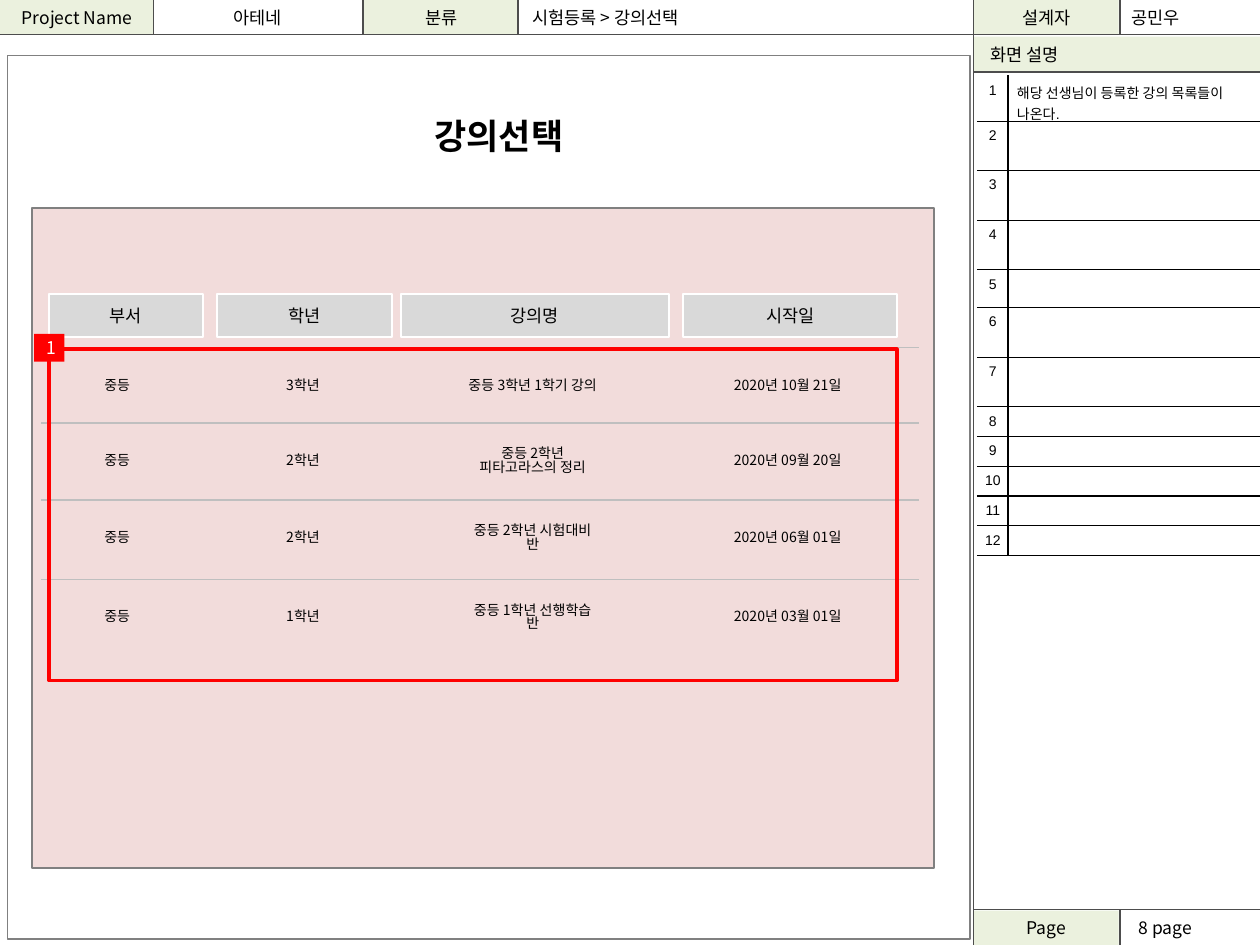
from dataclasses import dataclass

from lxml import etree
from pptx import Presentation
from pptx.dml.color import RGBColor
from pptx.enum.shapes import MSO_CONNECTOR, MSO_SHAPE
from pptx.enum.text import MSO_ANCHOR, PP_ALIGN
from pptx.oxml.ns import qn
from pptx.util import Cm, Pt

RECTANGLE = MSO_SHAPE.RECTANGLE
STRAIGHT = MSO_CONNECTOR.STRAIGHT
MIDDLE, TOP = MSO_ANCHOR.MIDDLE, MSO_ANCHOR.TOP
LEFT, CENTER = PP_ALIGN.LEFT, PP_ALIGN.CENTER


@dataclass(frozen=True)
class Theme:
    """Colours, fonts and type sizes of the screen specification."""
    korean: str = "Noto Sans CJK KR"
    latin: str = "Arial"
    black: str = "000000"
    white: str = "FFFFFF"
    label: str = "EBF1DE"
    rule: str = "4D4D4D"
    frame: str = "808080"
    panel: str = "F2DCDB"
    header: str = "D9D9D9"
    divider: str = "BFBFBF"
    marker: str = "FF0000"
    small: int = 8
    body: int = 10
    title: int = 20


class SlideBuilder:
    """Draws styled elements on the current slide; lengths are in centimetres."""

    def __init__(self, slide, theme):
        """Keep the slide and its theme."""
        self.slide = slide
        self.theme = theme

    def style(self, paragraph, text, size, color, align, bold=False, font=None):
        """Write text into a paragraph and set its font."""
        paragraph.text = text
        paragraph.alignment = align
        paragraph.font.name = font or self.theme.korean
        paragraph.font.size = Pt(size)
        paragraph.font.bold = bold
        paragraph.font.color.rgb = RGBColor.from_string(color)
        properties = paragraph.font._element
        etree.SubElement(properties, qn("a:ea"), typeface=self.theme.korean)

    def box(self, x, y, width, height, fill=None, line=None, weight=1,
            text=None, color=None, align=CENTER, inset=0.25):
        """Draw a rectangle, optionally filled, outlined and labelled."""
        shape = self.slide.shapes.add_shape(RECTANGLE, Cm(x), Cm(y), Cm(width), Cm(height))
        shape.shadow.inherit = False
        if fill:
            shape.fill.solid()
            shape.fill.fore_color.rgb = RGBColor.from_string(fill)
        else:
            shape.fill.background()
        if line:
            shape.line.color.rgb = RGBColor.from_string(line)
            shape.line.width = Pt(weight)
        else:
            shape.line.fill.background()
        if text:
            frame = shape.text_frame
            frame.vertical_anchor = MIDDLE
            frame.margin_left = Cm(inset)
            self.style(frame.paragraphs[0], text, self.theme.body,
                       color or self.theme.black, align)

    def text(self, x, y, width, height, text, size, align=LEFT, bold=False, spacing=None):
        """Place vertically centred text."""
        frame = self.slide.shapes.add_textbox(Cm(x), Cm(y), Cm(width), Cm(height)).text_frame
        frame.word_wrap = True
        frame.vertical_anchor = MIDDLE
        paragraph = frame.paragraphs[0]
        self.style(paragraph, text, size, self.theme.black, align, bold)
        if spacing:
            paragraph.line_spacing = spacing

    def line(self, x1, y1, x2, y2, color):
        """Draw a thin straight line."""
        connector = self.slide.shapes.add_connector(STRAIGHT, Cm(x1), Cm(y1), Cm(x2), Cm(y2))
        connector.line.color.rgb = RGBColor.from_string(color)
        connector.line.width = Pt(0.75)
        etree.SubElement(connector._element.spPr, qn("a:effectLst"))

    def borders(self, cell, sides):
        """Give a cell black borders; sides come in the order L, R, T, B."""
        properties = cell._tc.get_or_add_tcPr()
        for index, side in enumerate(sides):
            border = etree.Element(qn(f"a:ln{side}"), w=str(Pt(0.75)))
            fill = etree.SubElement(border, qn("a:solidFill"))
            etree.SubElement(fill, qn("a:srgbClr"), val=self.theme.black)
            properties.insert(index, border)

    def table(self, x, y, widths, heights, descriptions):
        """Draw the numbered table of screen descriptions."""
        table = self.slide.shapes.add_table(
            len(heights), len(widths), Cm(x), Cm(y), Cm(sum(widths)), Cm(sum(heights))).table
        table.first_row = table.horz_banding = False
        for column, width in zip(table.columns, widths):
            column.width = Cm(width)
        for number, height in enumerate(heights, 1):
            table.rows[number - 1].height = Cm(height)
            above = "T" if number > 1 else ""
            contents = ((str(number), CENTER, 0.1, "R"),
                        (descriptions.get(number, ""), LEFT, 0.18, "L"))
            for column, (text, align, inset, side) in enumerate(contents):
                cell = table.cell(number - 1, column)
                cell.fill.background()
                cell.vertical_anchor = TOP
                cell.margin_left = cell.margin_right = Cm(inset)
                cell.margin_top, cell.margin_bottom = Cm(0.13), Cm(0)
                self.style(cell.text_frame.paragraphs[0], text, self.theme.small,
                           self.theme.black, align, font=self.theme.latin)
                self.borders(cell, side + above + "B")


def draw_page_frame(builder):
    """Draw the label bar, the side column and the page footer."""
    theme = builder.theme
    labels = ((19.63, 18.36, 2.92, "Page"), (19.63, 0, 2.92, "설계자"),
              (7.34, 0, 3.12, "분류"), (0, 0, 3.1, "Project Name"))
    for x, y, width, text in labels:
        builder.box(x, y, width, 0.69, theme.label, text=text)
    builder.box(19.63, 0.74, 5.77, 0.72, theme.label, text="화면 설명", align=LEFT, inset=0.34)
    for x in (3.1, 7.32, 10.44, 22.58):
        builder.line(x, 0, x, 0.69, theme.rule)
    builder.line(22.58, 18.34, 22.58, 19.05, theme.rule)
    builder.line(19.63, 0, 19.63, 19.05, theme.rule)
    for x, y in ((0, 0.69), (19.63, 1.45), (19.63, 18.34)):
        builder.line(x, y, 25.4, y, theme.rule)
    builder.text(3.1, 0, 4.19, 0.69, "아테네", theme.body, CENTER)
    values = ((10.49, 0, 8.76, "시험등록 > 강의선택"),
              (22.56, 0, 2.59, "공민우"), (22.71, 18.36, 2.59, "8 page"))
    for x, y, width, text in values:
        builder.text(x, y, width, 0.69, text, theme.body)


def draw_course_list(builder):
    """Draw the course selection screen with its list."""
    theme = builder.theme
    builder.box(0.15, 1.12, 19.41, 17.81, theme.white, theme.frame)
    builder.box(0.64, 4.19, 18.19, 13.31, theme.panel, theme.frame)
    builder.text(8.51, 2.18, 3.51, 1.12, "강의선택", theme.title, bold=True)
    headers = (("부서", 0.99, 3.1), ("학년", 4.37, 3.53),
               ("강의명", 8.08, 5.41), ("시작일", 13.77, 4.32))
    for text, x, width in headers:
        builder.box(x, 5.93, width, 0.86, theme.header, theme.white, text=text)
    columns = ((1.17, 2.39), (5.13, 1.96), (9.19, 3.1), (14.05, 3.66))
    courses = (
        (7.01, "3학년", "중등 3학년 1학기 강의", "2020년 10월 21일"),
        (8.53, "2학년", "중등 2학년 피타고라스의 정리", "2020년 09월 20일"),
        (10.08, "2학년", "중등 2학년 시험대비 반", "2020년 06월 01일"),
        (11.68, "1학년", "중등 1학년 선행학습 반", "2020년 03월 01일"),
    )
    for y, *details in courses:
        builder.line(0.83, y, 18.53, y, theme.divider)
        for (x, width), text in zip(columns, ("중등", *details)):
            builder.text(x, y + 0.18, width, 1.19, text, theme.small, CENTER, spacing=0.8)
    builder.box(0.99, 7.04, 17.09, 6.68, line=theme.marker, weight=2)
    builder.box(0.69, 6.73, 0.61, 0.56, theme.marker, text="1", color=theme.white)


def main():
    """Build and save the presentation."""
    presentation = Presentation()
    presentation.slide_width, presentation.slide_height = Cm(25.4), Cm(19.05)
    slide = presentation.slides.add_slide(presentation.slide_layouts[6])
    builder = SlideBuilder(slide, Theme())
    draw_page_frame(builder)
    draw_course_list(builder)
    heights = [0.92, 0.99, 1, 1, 0.76, 1, 1] + [0.6] * 5
    builder.table(19.71, 1.53, (0.61, 5.08), heights,
                  {1: "해당 선생님이 등록한 강의 목록들이 나온다."})
    presentation.save("out.pptx")


main()
